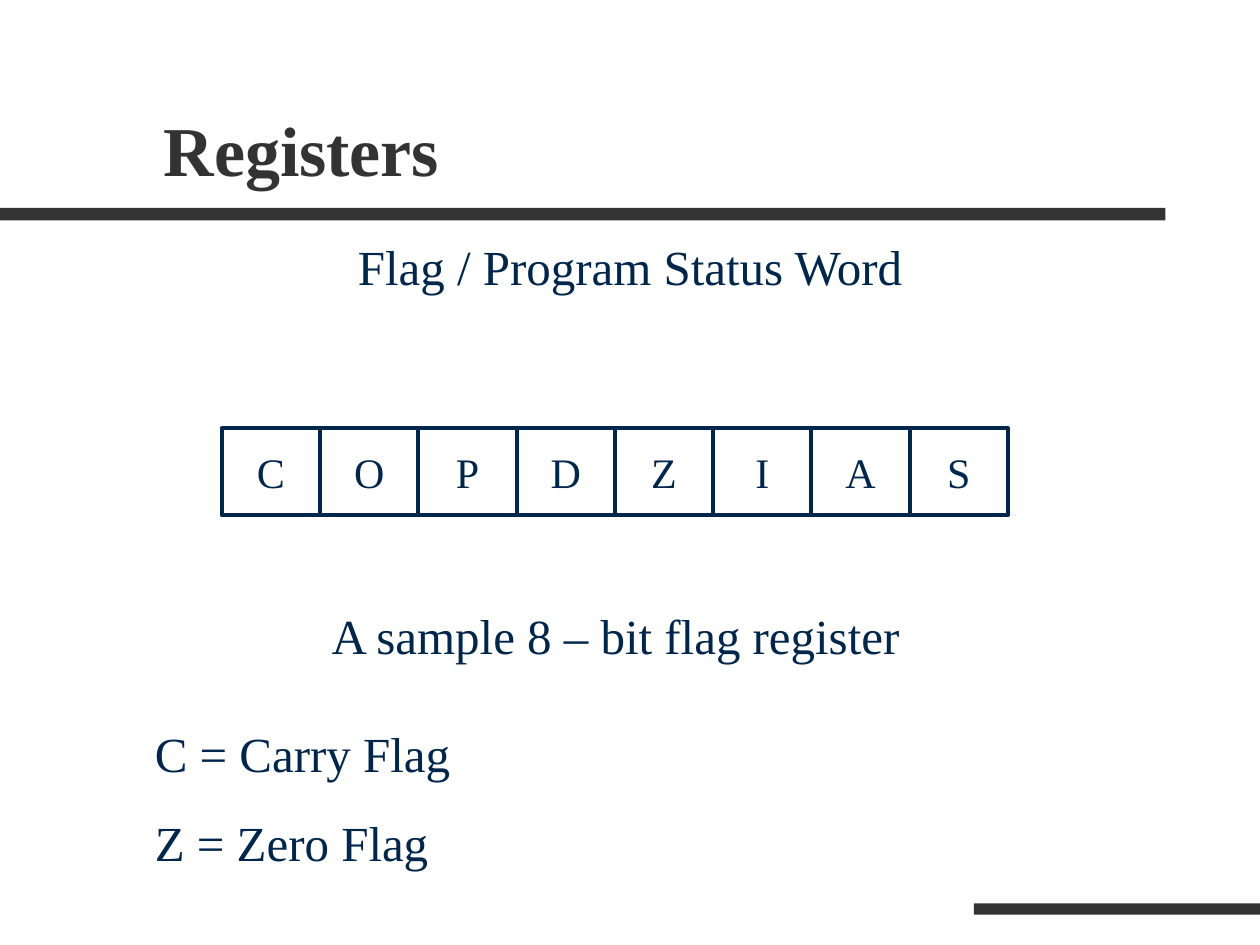
"""Build the flag register slide."""
from pptx import Presentation
from pptx.dml.color import RGBColor
from pptx.enum.shapes import MSO_SHAPE
from pptx.enum.text import MSO_ANCHOR, PP_ALIGN
from pptx.util import Inches, Pt

RECT = MSO_SHAPE.RECTANGLE
TOP, MID, LOW = MSO_ANCHOR.TOP, MSO_ANCHOR.MIDDLE, MSO_ANCHOR.BOTTOM
LEFT, MIDST = PP_ALIGN.LEFT, PP_ALIGN.CENTER
GREY = RGBColor(0x33, 0x33, 0x33)
NAVY = RGBColor(0x00, 0x26, 0x4C)
FONT = "Times New Roman"

BARS = [(0, 1.65, 9.25, 0.1), (7.73, 7.17, 2.27, 0.09)]
TEXTS = [
    ((1.2, 0.31, 8.5, 1.25), ["Registers"], 40, GREY, True, LEFT, LOW, 0),
    ((0.75, 1.83, 8.5, 4.83), ["Flag / Program Status Word"],
     28, NAVY, False, MIDST, TOP, 7),
    ((1.74, 4.76, 6.29, 0.57), ["A sample 8 – bit flag register"],
     28, NAVY, False, MIDST, TOP, 17.5),
    ((1.13, 5.69, 2.85, 1.28), ["C = Carry Flag", "Z = Zero Flag"],
     28, NAVY, False, LEFT, TOP, 17.5),
]
FLAGS = "COPDZIAS"
START, ROW, WIDE, HIGH = 1.76, 3.4, 0.78, 0.69


def write(shape, lines, size, color, bold, align, anchor, gap, wrap=True):
    frame = shape.text_frame
    frame.word_wrap = wrap
    frame.vertical_anchor = anchor
    for i, line in enumerate(lines):
        para = frame.add_paragraph() if i else frame.paragraphs[0]
        para.alignment = align
        para.space_before = Pt(gap)
        run = para.add_run()
        run.text = line
        font = run.font
        font.name, font.size, font.bold = FONT, Pt(size), bold
        font.color.rgb = color


def place(box):
    return [Inches(n) for n in box]


def rect(box):
    shape = shapes.add_shape(RECT, *place(box))
    shape.shadow.inherit = False
    return shape


deck = Presentation()
deck.slide_width, deck.slide_height = Inches(10), Inches(7.5)
shapes = deck.slides.add_slide(deck.slide_layouts[6]).shapes

for box in BARS:
    bar = rect(box)
    bar.fill.solid()
    bar.fill.fore_color.rgb = GREY
    bar.line.fill.background()

for box, *style in TEXTS:
    write(shapes.add_textbox(*place(box)), *style)

for i, flag in enumerate(FLAGS):
    cell = rect((START + i * WIDE, ROW, WIDE, HIGH))
    cell.fill.background()
    cell.line.color.rgb = NAVY
    cell.line.width = Pt(2.24)
    write(cell, [flag], 24, NAVY, False, MIDST, MID, 0, False)

deck.save("out.pptx")
